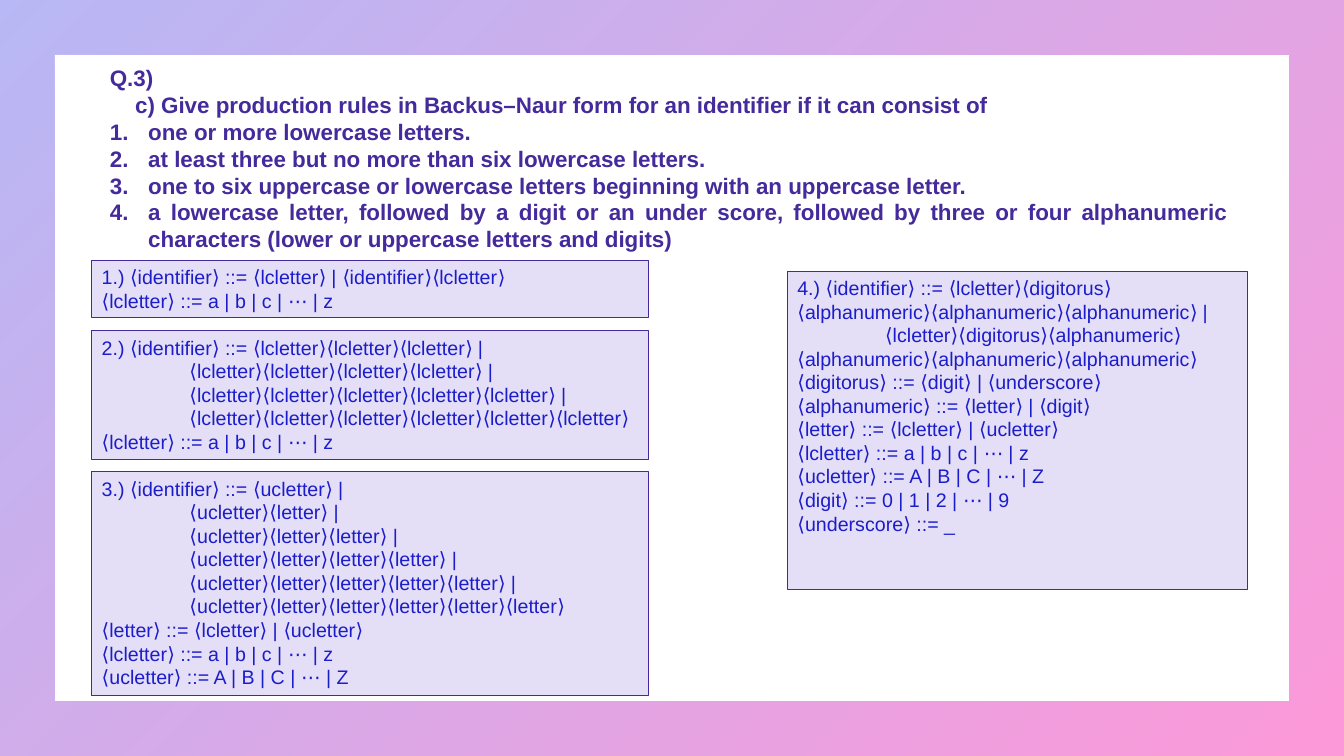
from lxml import etree
from pptx import Presentation
from pptx.dml.color import RGBColor
from pptx.enum.shapes import MSO_SHAPE
from pptx.enum.text import MSO_ANCHOR, MSO_AUTO_SIZE, PP_ALIGN
from pptx.oxml.ns import qn
from pptx.util import Inches, Pt

FRAME, RECTANGLE = MSO_SHAPE.FRAME, MSO_SHAPE.RECTANGLE
LEFT, JUSTIFY = PP_ALIGN.LEFT, PP_ALIGN.JUSTIFY
TOP = MSO_ANCHOR.TOP
NO_AUTOFIT = MSO_AUTO_SIZE.NONE

COLORS = {
    "frame start": "4D4EE6",
    "frame end": "F900A0",
    "question": "442A9B",
    "answer": "1C1DCA",
    "answer fill": "E4DEF6",
}
LINE_HEIGHT = 1.2

LC, UC = "⟨lcletter⟩", "⟨ucletter⟩"
LETTER, ALNUM, DIGITORUS = "⟨letter⟩", "⟨alphanumeric⟩", "⟨digitorus⟩"
LC_RULE = LC + " ::= a | b | c | ⋯ | z"
UC_RULE = UC + " ::= A | B | C | ⋯ | Z"
LETTER_RULE = f"{LETTER} ::= {LC} | {UC}"

QUESTION = [
    "Q.3)",
    "c) Give production rules in Backus–Naur form for an identifier if it can consist of",
]
CONDITIONS = [
    "one or more lowercase letters.",
    "at least three but no more than six lowercase letters.",
    "one to six uppercase or lowercase letters beginning with an uppercase letter.",
    "a lowercase letter, followed by a digit or an under score, followed by three or four "
    "alphanumeric characters (lower or uppercase letters and digits)",
]

# Each answer: left, top, width, height, alternatives for identifier, further rules
ANSWERS = [
    (0.91, 2.58, 5.52, 0.57, [f"{LC} | ⟨identifier⟩{LC}"], [LC_RULE]),
    (0.91, 3.28, 5.52, 1.28, [LC * n for n in range(3, 7)], [LC_RULE]),
    (0.91, 4.68, 5.52, 2.22, [UC + LETTER * n for n in range(6)],
     [LETTER_RULE, LC_RULE, UC_RULE]),
    (7.81, 2.69, 4.56, 3.16, [LC + DIGITORUS + ALNUM * n for n in (3, 4)],
     [f"{DIGITORUS} ::= ⟨digit⟩ | ⟨underscore⟩", f"{ALNUM} ::= {LETTER} | ⟨digit⟩",
      LETTER_RULE, LC_RULE, UC_RULE,
      "⟨digit⟩ ::= 0 | 1 | 2 | ⋯ | 9", "⟨underscore⟩ ::= _"]),
]


def write_lines(frame, lines, size, color, bold, align):
    """Fill a text frame with one evenly spaced paragraph per line."""
    frame.word_wrap = True
    frame.auto_size = NO_AUTOFIT
    frame.vertical_anchor = TOP
    frame.text = "\n".join(lines)
    for para in frame.paragraphs:
        para.alignment = align
        para.line_spacing = Pt(size * LINE_HEIGHT)
        para.space_before = Pt(0)
        para.font.name = "Arial"
        para.font.size = Pt(size)
        para.font.bold = bold
        para.font.color.rgb = RGBColor.from_string(COLORS[color])


def set_indent(para, margin, first_line):
    properties = para._p.get_or_add_pPr()
    properties.set("marL", str(Inches(margin)))
    properties.set("indent", str(Inches(first_line)))
    return properties


deck = Presentation()
deck.slide_width, deck.slide_height = Inches(13.33), Inches(7.5)
page = deck.slides.add_slide(deck.slide_layouts[1])

# Gradient frame around the page
border = page.shapes.add_shape(FRAME, 0, 0, deck.slide_width, deck.slide_height)
border.adjustments[0] = 0.072
border.shadow.inherit = False
border.line.fill.background()
border.fill.gradient()
border.fill.gradient_angle = 315
for stop, name in zip(border.fill.gradient_stops, ("frame start", "frame end")):
    stop.color.rgb = RGBColor.from_string(COLORS[name])
for rgb in border._element.spPr.iter(qn("a:srgbClr")):
    etree.SubElement(rgb, qn("a:alpha")).set("val", "40000")

# Question and its numbered conditions
title, body = page.shapes.title, page.placeholders[1]
for holder, top, height, lines in ((title, 0.64, 0.53, QUESTION),
                                   (body, 1.17, 1.33, CONDITIONS)):
    holder.left, holder.top = Inches(1.09), Inches(top)
    holder.width, holder.height = Inches(11.09), Inches(height)
    frame = holder.text_frame
    frame.margin_left = frame.margin_right = frame.margin_top = frame.margin_bottom = 0
    write_lines(frame, lines, 16, "question", True, JUSTIFY)
set_indent(title.text_frame.paragraphs[1], 0.25, 0)
for para in body.text_frame.paragraphs:
    properties = set_indent(para, 0.38, -0.38)
    etree.SubElement(properties, qn("a:buFont")).set("typeface", "+mj-lt")
    etree.SubElement(properties, qn("a:buAutoNum")).set("type", "arabicPeriod")
    # Numbering has to precede the default run properties
    properties.append(properties.find(qn("a:defRPr")))

# Answer boxes
for number, (left, top, width, height, options, rules) in enumerate(ANSWERS, 1):
    box = page.shapes.add_shape(RECTANGLE, Inches(left), Inches(top),
                                Inches(width), Inches(height))
    box.shadow.inherit = False
    box.fill.solid()
    box.fill.fore_color.rgb = RGBColor.from_string(COLORS["answer fill"])
    box.line.color.rgb = RGBColor.from_string(COLORS["question"])
    box.line.width = Pt(0.75)
    lines = [option + " |" for option in options[:-1]] + options[-1:]
    lines[0] = f"{number}.) ⟨identifier⟩ ::= {lines[0]}"
    write_lines(box.text_frame, lines + rules, 14, "answer", False, LEFT)
    for para in box.text_frame.paragraphs[1:len(options)]:
        set_indent(para, 0, 0.87)

deck.save("out.pptx")
